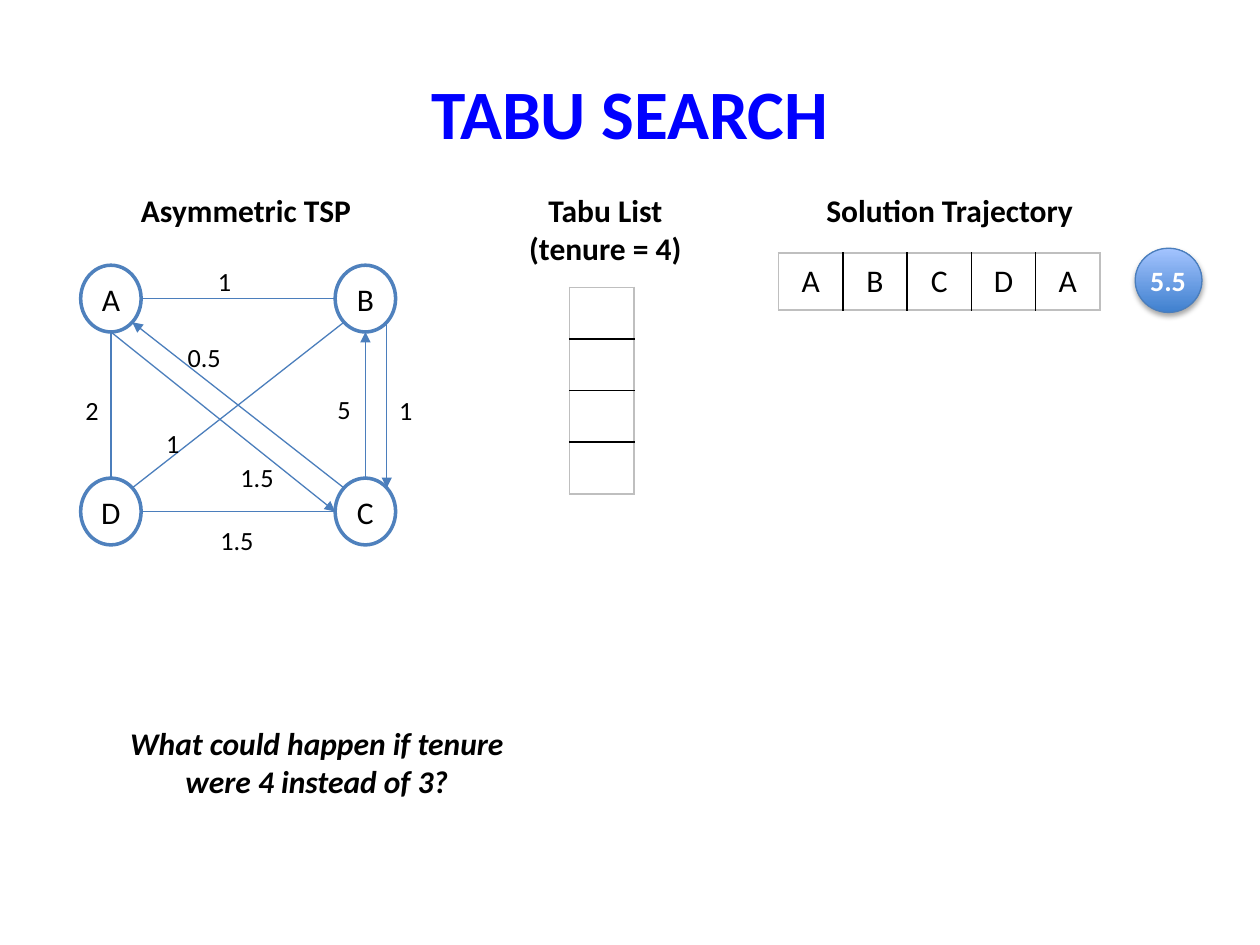
import math
from dataclasses import dataclass

from lxml import etree
from pptx import Presentation
from pptx.dml.color import RGBColor
from pptx.enum import shapes, text
from pptx.oxml import ns
from pptx.util import Inches, Pt


@dataclass(frozen=True)
class Theme:
    font: str = "Calibri"
    title: str = "0000FF"
    ink: str = "000000"
    paper: str = "FFFFFF"
    node: str = "4F81BD"
    edge: str = "4B7EBC"
    frame: str = "BFBFBF"
    cost_bottom: str = "3F80CE"
    cost_top: str = "A4C4FF"
    title_size: float = 39.6
    body_size: float = 18
    cost_size: float = 16
    weight_size: float = 15


THEME = Theme()
NODE_SIZE = (0.48, 0.53)
NODES = {"A": (0.88, 2.37), "B": (2.9, 2.37), "D": (0.88, 4.06), "C": (2.9, 4.06)}
EDGES = [
    ("A", 90, "C", 180, True),
    ("C", 225, "A", 45, True),
    ("A", 90, "D", 270, False),
    ("D", 0, "C", 180, False),
    ("B", 135, "D", 315, False),
    ("A", 0, "B", 180, False),
    ("B", 45, "C", 315, True),
    ("C", 270, "B", 90, True),
]
WEIGHTS = [
    ("1", 1.63, 2.06), ("1", 1.22, 3.34), ("1", 3.07, 3.08), ("2", 0.58, 3.08),
    ("1.5", 1.65, 4.11), ("5", 2.58, 3.07), ("0.5", 1.39, 2.66), ("1.5", 1.81, 3.61),
]
LEFT, CENTER = text.PP_ALIGN.LEFT, text.PP_ALIGN.CENTER


def color(value):
    return RGBColor.from_string(value)


def add_element(parent, tag, **attributes):
    return etree.SubElement(parent, ns.qn(tag), attributes)


def write(frame, lines, size, ink=THEME.ink, align=CENTER, bold=False, italic=False):
    for index, line in enumerate(lines):
        paragraph = frame.add_paragraph() if index else frame.paragraphs[0]
        paragraph.alignment = align
        run = paragraph.add_run()
        run.text = line
        run.font.name = THEME.font
        run.font.size = Pt(size)
        run.font.bold = bold
        run.font.italic = italic
        run.font.color.rgb = color(ink)


def add_label(container, lines, box, size=THEME.body_size, wrap=True, **style):
    label = container.add_textbox(*map(Inches, box))
    label.text_frame.word_wrap = wrap
    write(label.text_frame, lines, size, **style)


def add_title(slide, title):
    shape = slide.shapes.title
    shape.left, shape.top, shape.width, shape.height = map(Inches, (0.5, 0.5, 9, 0.78))
    shape.text_frame.vertical_anchor = text.MSO_ANCHOR.MIDDLE
    write(shape.text_frame, [title], THEME.title_size, THEME.title, bold=True)


def add_node(container, name):
    width, height = NODE_SIZE
    x, y = NODES[name]
    box = (x - width / 2, y - height / 2, width, height)
    node = container.add_shape(shapes.MSO_SHAPE.OVAL, *map(Inches, box))
    node.shadow.inherit = False
    node.fill.solid()
    node.fill.fore_color.rgb = color(THEME.paper)
    node.line.color.rgb = color(THEME.node)
    node.line.width = Pt(2)
    frame = node.text_frame
    frame.margin_left = frame.margin_right = 0
    frame.vertical_anchor = text.MSO_ANCHOR.MIDDLE
    write(frame, [name], THEME.body_size)


def rim_point(name, degrees):
    angle = math.radians(degrees)
    (x, y), (width, height) = NODES[name], NODE_SIZE
    return Inches(x + width / 2 * math.cos(angle)), Inches(y + height / 2 * math.sin(angle))


def add_edge(container, start, start_angle, end, end_angle, arrow):
    edge = container.add_connector(
        shapes.MSO_CONNECTOR.STRAIGHT,
        *rim_point(start, start_angle),
        *rim_point(end, end_angle),
    )
    edge.line.color.rgb = color(THEME.edge)
    edge.line.width = Pt(0.75)
    if arrow:
        add_element(edge.line._get_or_add_ln(), "a:tailEnd", type="triangle")
    add_element(edge._element.spPr, "a:effectLst")


def add_graph(slide):
    graph = slide.shapes.add_group_shape().shapes
    for name in NODES:
        add_node(graph, name)
    for edge in EDGES:
        add_edge(graph, *edge)
    for weight, left, top in WEIGHTS:
        width = 0.29 if len(weight) == 1 else 0.55
        add_label(graph, [weight], (left, top, width, 0.35), THEME.weight_size, align=LEFT)


def add_border(cell, side, ink):
    line = add_element(cell._tc.get_or_add_tcPr(), f"a:ln{side}", w=str(Pt(1)))
    add_element(add_element(line, "a:solidFill"), "a:srgbClr", val=ink)


def add_grid(slide, rows, left, top, column_width, row_height):
    row_count, column_count = len(rows), len(rows[0])
    size = (column_width * column_count, row_height * row_count)
    table = slide.shapes.add_table(
        row_count, column_count, *map(Inches, (left, top, *size))
    ).table
    table.first_row = table.horz_banding = False
    for row, values in enumerate(rows):
        for column, value in enumerate(values):
            cell = table.cell(row, column)
            outer_sides = {
                "L": column == 0,
                "R": column == column_count - 1,
                "T": row == 0,
                "B": row == row_count - 1,
            }
            for side, outer in outer_sides.items():
                add_border(cell, side, THEME.frame if outer else THEME.ink)
            cell.fill.background()
            cell.vertical_anchor = text.MSO_ANCHOR.MIDDLE
            if value:
                write(cell.text_frame, [value], THEME.body_size)


def add_cost(slide, cost):
    group = slide.shapes.add_group_shape().shapes
    badge = group.add_shape(shapes.MSO_SHAPE.OVAL, *map(Inches, (9.01, 1.97, 0.53, 0.51)))
    badge.fill.gradient()
    badge.fill.gradient_angle = 90
    for stop, value in zip(badge.fill.gradient_stops, (THEME.cost_bottom, THEME.cost_top)):
        stop.color.rgb = color(value)
    for position, stop in enumerate(badge.fill.gradient_stops):
        stop.position = position
    badge.line.color.rgb = color(THEME.edge)
    badge.line.width = Pt(0.75)
    effects = add_element(badge._element.spPr, "a:effectLst")
    shadow = add_element(
        effects, "a:outerShdw", blurRad=str(Pt(3.1)), dist=str(Pt(1.8)),
        dir="5400000", rotWithShape="0",
    )
    shade = add_element(shadow, "a:srgbClr", val=THEME.ink)
    add_element(shade, "a:alpha", val="35000")
    add_label(group, [cost], (9.03, 2.04, 0.49, 0.37), THEME.cost_size,
              wrap=False, ink=THEME.paper, align=LEFT, bold=True)


def main():
    presentation = Presentation()
    presentation.slide_width, presentation.slide_height = Inches(10), Inches(7.5)
    slide = presentation.slides.add_slide(presentation.slide_layouts[5])
    add_title(slide, "TABU SEARCH")
    add_graph(slide)
    add_label(slide.shapes, ["Asymmetric TSP"], (1.02, 1.47, 2.02, 0.4), align=LEFT, bold=True)
    add_grid(slide, ["ABCDA"], 6.18, 2.01, 0.51, 0.45)
    add_label(slide.shapes, ["Solution Trajectory"], (6.46, 1.47, 2.27, 0.4),
              align=LEFT, bold=True)
    add_cost(slide, "5.5")
    add_label(slide.shapes, ["Tabu List", "(tenure = 4)"], (4.08, 1.47, 1.45, 0.71), bold=True)
    add_label(slide.shapes, ["What could happen if tenure were 4 instead of 3?"],
              (0.87, 5.7, 3.29, 0.71), bold=True, italic=True)
    add_grid(slide, [[""]] * 4, 4.52, 2.28, 0.51, 0.41)
    presentation.save("out.pptx")


if __name__ == "__main__":
    main()
